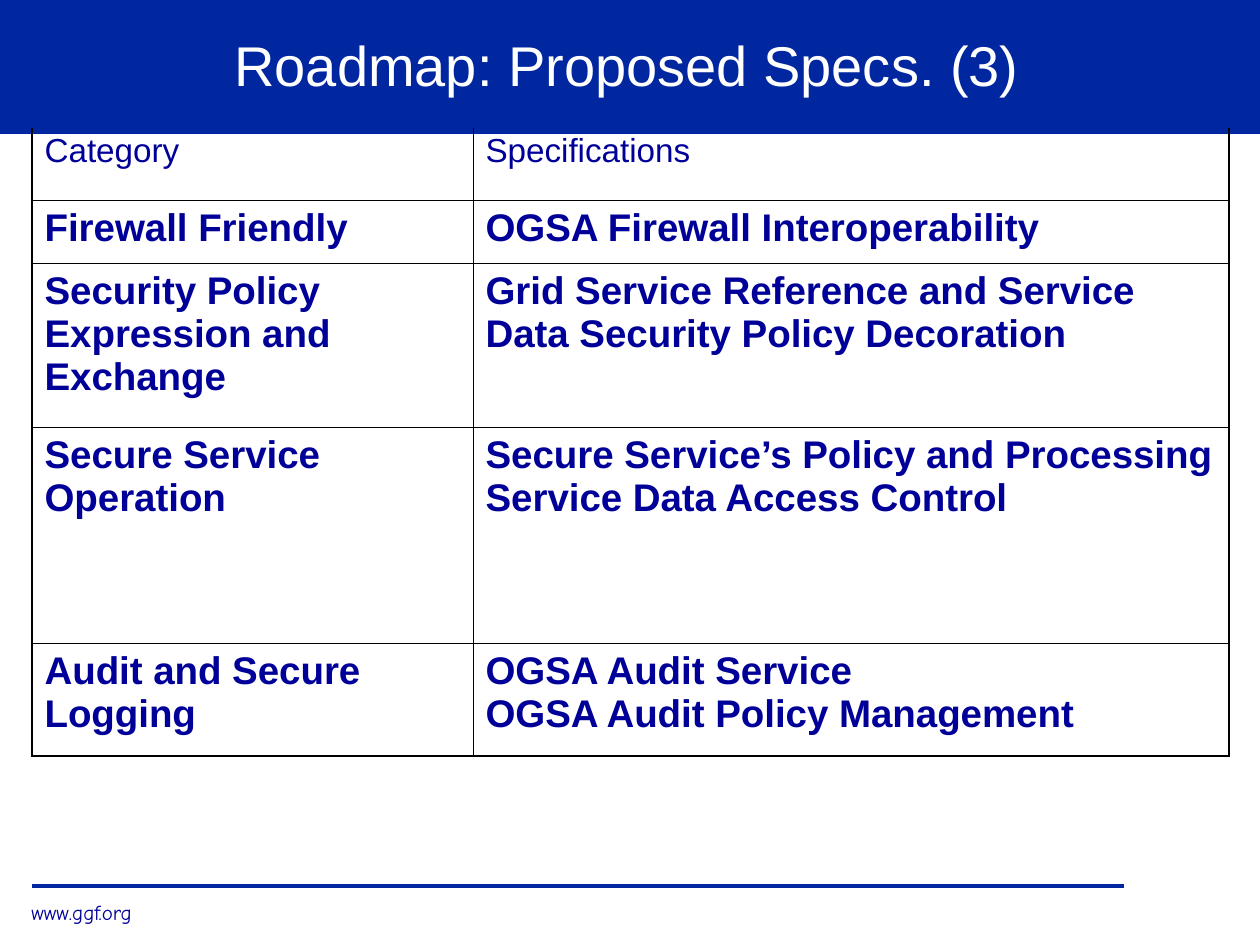
from lxml import etree
from pptx import Presentation
from pptx.dml.color import RGBColor
from pptx.enum.shapes import MSO_CONNECTOR, MSO_SHAPE
from pptx.enum.text import MSO_ANCHOR, PP_ALIGN
from pptx.oxml.ns import qn
from pptx.util import Emu, Pt

RECT, STRAIGHT = MSO_SHAPE.RECTANGLE, MSO_CONNECTOR.STRAIGHT
MIDDLE, CENTER = MSO_ANCHOR.MIDDLE, PP_ALIGN.CENTER

# Content; \v is a line break
TITLE = "Roadmap: Proposed Specs. (3)"
FOOTER = "www.ggf.org"
ROWS = [
    ("Category", "Specifications"),
    ("Firewall Friendly", "OGSA Firewall Interoperability"),
    ("Security Policy Expression and Exchange",
     "Grid Service Reference and Service Data Security Policy Decoration"),
    ("Secure Service Operation",
     "Secure Service’s Policy and Processing\vService Data Access Control"),
    ("Audit and Secure Logging",
     "OGSA Audit Service\vOGSA Audit Policy Management"),
]
COL_WIDTHS = [441, 756]
ROW_HEIGHTS = [74, 63, 164, 216, 113]
COLORS = {"band": "00279F", "text": "000099", "white": "FFFFFF", "border": "000000"}
OUTER, INNER = 1.08, 0.45


def px(n):
    return Emu(round(n * 914400 / 126))


def color(name):
    return RGBColor.from_string(COLORS[name])


def set_font(p, size, name, face="Arial", bold=False):
    p.font.size, p.font.name, p.font.bold = Pt(size), face, bold
    p.font.color.rgb = color(name)


def add_band(s, w, h):
    sp = s.shapes.add_shape(RECT, 0, 0, px(w), px(h))
    sp.shadow.inherit = False
    sp.fill.solid()
    sp.fill.fore_color.rgb = color("band")
    sp.line.fill.background()
    return sp


def set_borders(cell, widths):
    tcPr = cell._tc.get_or_add_tcPr()
    for i, (side, width) in enumerate(widths.items()):
        ln = etree.Element(qn(f"a:ln{side}"), w=str(Pt(width)))
        fill = etree.SubElement(ln, qn("a:solidFill"))
        etree.SubElement(fill, qn("a:srgbClr"), val=COLORS["border"])
        tcPr.insert(i, ln)


prs = Presentation()
prs.slide_width, prs.slide_height = px(1260), px(945)
s = prs.slides.add_slide(prs.slide_layouts[6])

# Header band, footer rule and address
add_band(s, 1260, 134)
rule = s.shapes.add_connector(STRAIGHT, px(32), px(886), px(1124), px(886))
rule.line.color.rgb = color("band")
rule.line.width = Pt(2)
etree.SubElement(rule._element.spPr, qn("a:effectLst"))
tb = s.shapes.add_textbox(px(19), px(893), px(127), px(38))
tb.text_frame.word_wrap = False
p = tb.text_frame.paragraphs[0]
p.text = FOOTER
set_font(p, 12, "text", "Comic Neue")

# Specifications table
table = s.shapes.add_table(len(ROWS), len(COL_WIDTHS), px(32), px(126),
                           px(sum(COL_WIDTHS)), px(sum(ROW_HEIGHTS))).table
table.first_row = table.horz_banding = False
for col, w in zip(table.columns, COL_WIDTHS):
    col.width = px(w)
for row, h in zip(table.rows, ROW_HEIGHTS):
    row.height = px(h)
last_row, last_col = len(ROWS) - 1, len(COL_WIDTHS) - 1
for r, texts in enumerate(ROWS):
    for c, text in enumerate(texts):
        cell = table.cell(r, c)
        cell.fill.background()
        set_borders(cell, {
            "L": OUTER if c == 0 else INNER,
            "R": OUTER if c == last_col else INNER,
            "T": OUTER if r == 0 else INNER,
            "B": OUTER if r == last_row else INNER,
        })
        p = cell.text_frame.paragraphs[0]
        p.text = text
        set_font(p, 22 if r else 19, "text", bold=r > 0)

# Title over the top edge of the table
title = add_band(s, 1254, 128)
tf = title.text_frame
tf.word_wrap = True
tf.vertical_anchor = MIDDLE
p = tf.paragraphs[0]
p.text = TITLE
p.alignment = CENTER
set_font(p, 32, "white")

prs.save("out.pptx")
